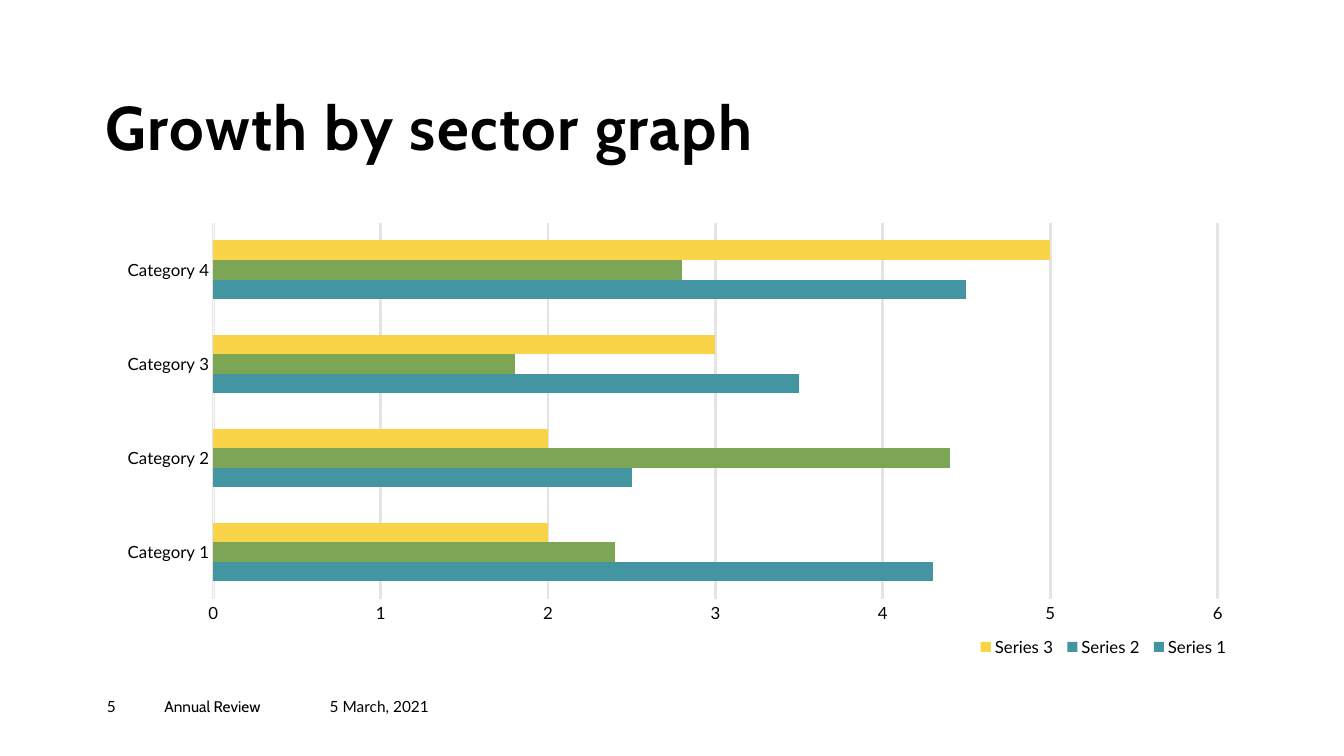
from lxml import etree
from pptx import Presentation
from pptx.chart.data import CategoryChartData
from pptx.dml.color import RGBColor
from pptx.enum.chart import XL_CHART_TYPE, XL_LEGEND_POSITION, XL_TICK_MARK
from pptx.enum.text import MSO_ANCHOR, MSO_AUTO_SIZE, PP_ALIGN
from pptx.oxml.ns import qn
from pptx.util import Inches, Pt

BAR = XL_CHART_TYPE.BAR_CLUSTERED
BOTTOM = XL_LEGEND_POSITION.BOTTOM
NO_TICK = XL_TICK_MARK.NONE
ANCHOR_TOP, ANCHOR_BOTTOM = MSO_ANCHOR.TOP, MSO_ANCHOR.BOTTOM
NO_FIT = MSO_AUTO_SIZE.NONE
LEFT = PP_ALIGN.LEFT

BLACK, WHITE, GRID = "000000", "FFFFFF", "E4E4E4"
TEAL, GREEN, YELLOW = "4495A2", "7CA655", "F9D448"
CATEGORIES = [f"Category {n}" for n in range(1, 5)]
SERIES = [
    ("Series 1", (4.3, 2.5, 3.5, 4.5), TEAL, None),
    ("Series 2", (2.4, 4.4, 1.8, 2.8), TEAL, GREEN),
    ("Series 3", (2, 2, 3, 5), YELLOW, None),
]
FOOTER = [
    ("5", 1.06, 0.57, "Lato"),
    ("Annual Review", 1.63, 1.64, "Cabin"),
    ("5 March, 2021", 3.27, 1.44, "Lato"),
]


def rgb(value):
    return RGBColor.from_string(value)


class SlideBuilder:
    """Hold the fonts and the current slide, and add its elements."""

    heading, body = "Cabin", "Lato"

    def __init__(self, s):
        self.s = s

    def style(self, font, name, size, bold=None):
        font.name = name
        font.size = Pt(size)
        font.bold = bold
        font.color.rgb = rgb(BLACK)

    def frame(self, sp, text, name, size, anchor, bold=None):
        tf = sp.text_frame
        tf.word_wrap = True
        tf.auto_size = NO_FIT
        tf.vertical_anchor = anchor
        tf.margin_left = tf.margin_right = 0
        tf.margin_top = tf.margin_bottom = 0
        p = tf.paragraphs[0]
        p.alignment = LEFT
        r = p.add_run()
        r.text = text
        self.style(r.font, name, size, bold)
        return p, r

    def title(self, text, x, y, w, h):
        sp = self.s.shapes.title
        sp.left, sp.top = Inches(x), Inches(y)
        sp.width, sp.height = Inches(w), Inches(h)
        p, r = self.frame(sp, text, self.heading, 44, ANCHOR_BOTTOM, True)
        p.line_spacing = 0.9
        r.font._element.set("spc", "100")

    def label(self, text, x, y, w, h, name):
        sp = self.s.shapes.add_textbox(Inches(x), Inches(y), Inches(w), Inches(h))
        self.frame(sp, text, name, 11, ANCHOR_TOP)

    def layout(self, x, y, w, h, inner=False):
        element = etree.Element(qn("c:layout"))
        manual = etree.SubElement(element, qn("c:manualLayout"))
        settings = [("layoutTarget", "inner")] if inner else []
        settings += [("xMode", "edge"), ("yMode", "edge")]
        settings += [("x", x), ("y", y), ("w", w), ("h", h)]
        for tag, value in settings:
            etree.SubElement(manual, qn(f"c:{tag}")).set("val", str(value))
        return element

    def bar_chart(self, x, y, w, h):
        data = CategoryChartData()
        data.categories = CATEGORIES
        for name, values, _, _ in SERIES:
            data.add_series(name, values)
        frame = self.s.shapes.add_chart(
            BAR, Inches(x), Inches(y), Inches(w), Inches(h), data)
        chart = frame.chart
        chart.has_title = False
        self.style(chart.font, self.body, 10)
        plot = chart.plots[0]
        plot.gap_width, plot.overlap = 182, 0
        plot.vary_by_categories = False
        for series, (_, values, color, point_color) in zip(plot.series, SERIES):
            self.fill(series, color)
            series.invert_if_negative = False
            if point_color:
                for i in range(len(values)):
                    self.fill(series.points[i], point_color)
        self.axes(chart)
        self.legend(chart)
        area = chart._chartSpace.find(f".//{qn('c:plotArea')}")
        for old in area.findall(qn("c:layout")):
            area.remove(old)
        area.insert(0, self.layout(0.095, 0.02, 0.88, 0.83, inner=True))

    def fill(self, item, color):
        item.format.fill.solid()
        item.format.fill.fore_color.rgb = rgb(color)

    def axes(self, chart):
        cat, val = chart.category_axis, chart.value_axis
        for axis in (cat, val):
            axis.major_tick_mark = axis.minor_tick_mark = NO_TICK
            self.style(axis.tick_labels.font, self.body, 12)
        cat.has_major_gridlines = False
        cat.format.line.color.rgb = rgb(WHITE)
        cat.format.line.width = Pt(0.75)
        val.minimum_scale, val.maximum_scale, val.major_unit = 0, 6, 1
        val.format.line.fill.background()
        val.has_major_gridlines = True
        grid = val.major_gridlines.format.line
        grid.color.rgb = rgb(GRID)
        grid.width = Pt(2)

    def legend(self, chart):
        chart.has_legend = True
        legend = chart.legend
        legend.position = BOTTOM
        legend.include_in_layout = False
        self.style(legend.font, self.body, 12)
        overlay = legend._element.find(qn("c:overlay"))
        overlay.addprevious(self.layout(0.76, 0.92, 0.23, 0.07))


def main():
    prs = Presentation()
    prs.slide_width, prs.slide_height = Inches(13.33), Inches(7.5)
    s = prs.slides.add_slide(prs.slide_layouts[5])
    builder = SlideBuilder(s)
    builder.title("Growth by sector graph", 1.05, 0.96, 8.84, 0.67)
    builder.bar_chart(1.04, 2.12, 11.32, 4.5)
    for text, x, w, name in FOOTER:
        builder.label(text, x, 6.92, w, 0.27, name)
    prs.save("out.pptx")


if __name__ == "__main__":
    main()
